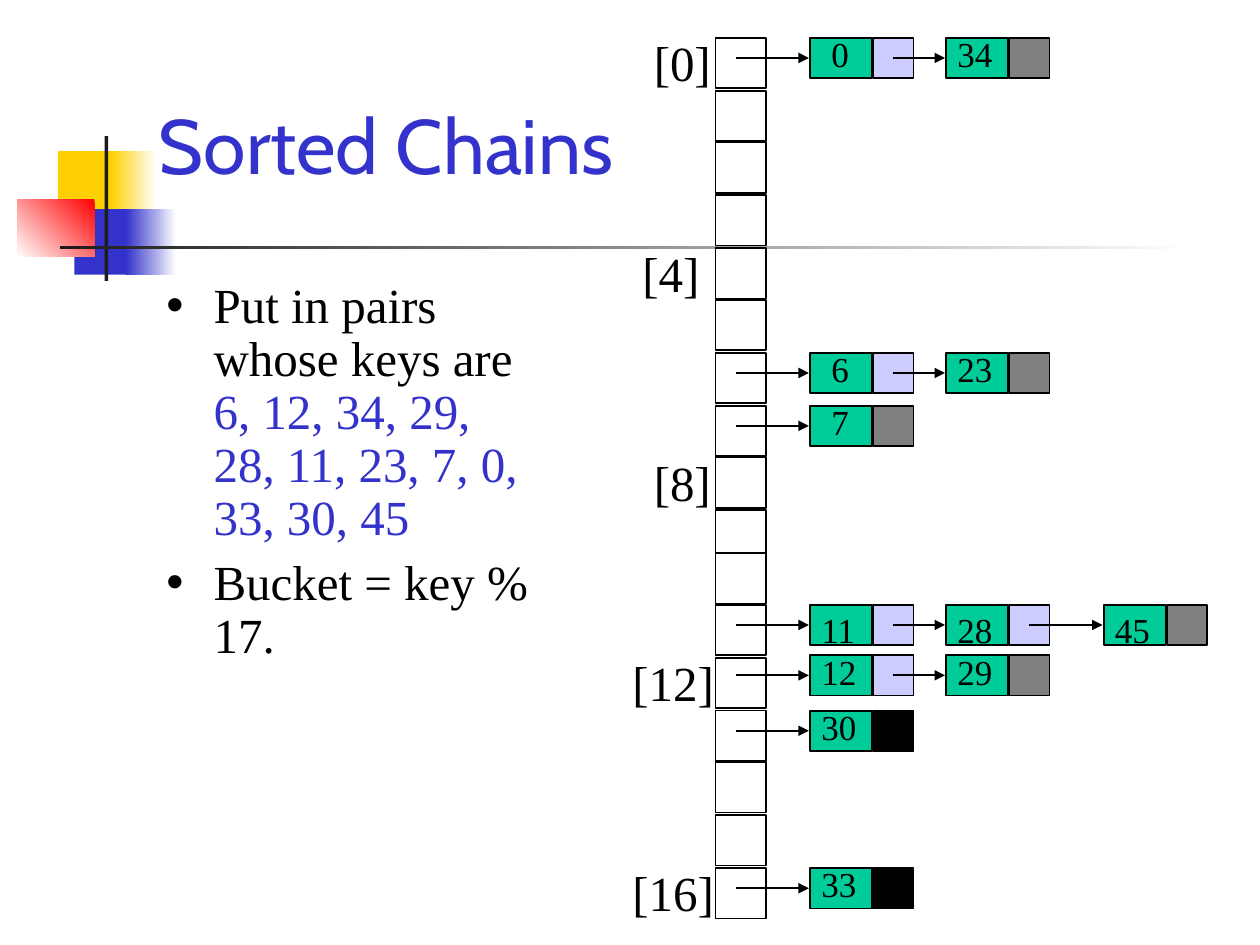
from lxml.etree import SubElement
from pptx import Presentation
from pptx.dml.color import RGBColor as Rgb
from pptx.enum.shapes import MSO_CONNECTOR as Connector, MSO_SHAPE as Preset
from pptx.enum.text import MSO_ANCHOR as Anchor, MSO_AUTO_SIZE as AutoSize, PP_ALIGN as Align
from pptx.oxml.ns import qn
from pptx.util import Pt

PX = 9144
COLORS = {
    "white": "FFFFFF", "black": "000000", "ink": "1C1C1C", "blue": "3333CC",
    "yellow": "FFCF01", "red": "FF0000", "key": "00CC99", "link": "CCCCFF", "end": "808080",
}
SERIF = "Times New Roman"
BUCKETS = 17
CHAINS = {0: [0, 34], 6: [6, 23], 7: [7], 11: [11, 28, 45], 12: [12, 29], 13: [30], 16: [33]}
NODE_LEFTS = [75, 183, 308]
LABEL_LEFTS = {0: 17, 4: 8, 8: 17, 12: 0, 16: 0}
BLACK_ENDS = {13, 16}
CHAIN_SHIFTS = {12: -2}
KEY_SHIFTS = {11: -2}


def px(*lengths):
    """Turn px lengths into EMU."""
    return [round(length * PX) for length in lengths]


def color(name):
    """Look up a named colour."""
    return Rgb.from_string(COLORS[name])


def apply(target, values):
    """Set attributes from a dict of format values."""
    for name, value in values.items():
        setattr(target, name, value)


def style_font(font, size, ink, face=SERIF):
    """Set size, colour and face of a font."""
    apply(font, {"size": Pt(size), "name": face})
    font.color.rgb = color(ink)


def add_rect(slide, box, fill, outlined=False, fade=None, angle=0):
    """Draw a rectangle with a plain fill, or fading from one colour to another."""
    rect = slide.shapes.add_shape(Preset.RECTANGLE, *px(*box))
    rect.shadow.inherit = False
    if fade:
        rect.fill.gradient()
        rect.fill.gradient_angle = angle
        for stop, name, position in zip(rect.fill.gradient_stops, (fill, fade), (0, 1)):
            stop.color.rgb = color(name)
            stop.position = position
    else:
        rect.fill.solid()
        rect.fill.fore_color.rgb = color(fill)
    if outlined:
        rect.line.color.rgb = color("black")
        rect.line.width = Pt(1)
    else:
        rect.line.fill.background()


def add_label(slide, box, text, size):
    """Write a short black text."""
    label = slide.shapes.add_textbox(*px(*box)).text_frame
    label.word_wrap = True
    run = label.paragraphs[0].add_run()
    run.text = text
    style_font(run.font, size, "black")


def add_arrow(slide, start, end, y):
    """Draw a level arrow pointing right."""
    arrow = slide.shapes.add_connector(Connector.STRAIGHT, *px(start, y, end, y))
    arrow.line.color.rgb = color("black")
    arrow.line.width = Pt(1)
    SubElement(arrow.line._get_or_add_ln(), qn("a:tailEnd"), type="triangle")
    SubElement(arrow._element.spPr, qn("a:effectLst"))


def add_ornament(slide, left, top):
    """Draw the coloured squares and the crossing bars."""
    parts = [
        ((32, 12, 48, 52), "yellow", None, 0),
        ((74, 12, 36, 52), "white", "yellow", 180),
        ((45, 58, 46, 52), "blue", None, 0),
        ((86, 58, 40, 52), "white", "blue", 180),
        ((0, 50, 61, 46), "red", "white", 225),
        ((69, 0, 3, 115), "ink", None, 0),
        ((34, 87, 900, 3), "white", "ink", 180),
    ]
    for (x, y, width, height), fill, fade, angle in parts:
        add_rect(slide, (left + x, top + y, width, height), fill, fade=fade, angle=angle)


def fill_title(title, box):
    """Place and write the title."""
    left, top, width, height = px(*box)
    apply(title, {"left": left, "top": top, "width": width, "height": height})
    frame = title.text_frame
    apply(frame, {"margin_left": 0, "margin_right": 0, "margin_top": 0, "margin_bottom": 0,
                  "vertical_anchor": Anchor.MIDDLE, "auto_size": AutoSize.NONE})
    heading = frame.paragraphs[0]
    apply(heading, {"alignment": Align.LEFT, "line_spacing": 1.02})
    run = heading.add_run()
    run.text = "Sorted Chains"
    style_font(run.font, 44, "blue", "Cabin")


def fill_body(body, box):
    """Place and write the bulleted list."""
    left, top, width, height = px(*box)
    apply(body, {"left": left, "top": top, "width": width, "height": height})
    frame = body.text_frame
    frame.auto_size = AutoSize.NONE
    points = [
        [("Put in pairs whose keys are ", "black"),
         ("6, 12, 34, 29, 28, 11, 23, 7, 0, 33, 30, 45", "blue")],
        [("Bucket = key % 17.", "black")],
    ]
    for index, pieces in enumerate(points):
        point = frame.add_paragraph() if index else frame.paragraphs[0]
        apply(point, {"line_spacing": 0.9, "space_before": Pt(7)})
        for words, ink in pieces:
            run = point.add_run()
            run.text = words
            style_font(run.font, 28, ink)


def bucket_top(bucket):
    """Give the top of a bucket, the lower seven being moved up a little."""
    return round(bucket * 125 / 3) - (8 if bucket > 9 else 0)


def add_chain(slide, left, top, bucket, keys):
    """Draw the linked nodes of one bucket, relative to the table."""
    middle = top + 16
    arrow_start = left + 16
    last = len(keys) - 1
    for index, (key, offset) in enumerate(zip(keys, NODE_LEFTS)):
        node = left + offset
        ending = "black" if bucket in BLACK_ENDS else "end"
        add_rect(slide, (node, top, 49, 32), "key", outlined=True)
        add_rect(slide, (node + 50, top, 32, 32), ending if index == last else "link",
                 outlined=True)
        add_arrow(slide, arrow_start, node - 1, middle)
        arrow_start = node + 66
        indent = 7 if key < 10 else -1
        add_label(slide, (node + indent, top + KEY_SHIFTS.get(bucket, -9), 50, 44), str(key), 20)


def add_hash_table(slide, left, top):
    """Draw the buckets, their index labels and their chains."""
    column = left + 76
    for bucket in range(BUCKETS):
        add_rect(slide, (column, top + bucket_top(bucket), 40, 40), "white", outlined=True)
    for bucket, indent in LABEL_LEFTS.items():
        add_label(slide, (left + indent, top + bucket_top(bucket) - 9, 108, 57),
                  f"[{bucket}]", 28)
    for bucket, keys in CHAINS.items():
        chain_top = top + bucket_top(bucket) + CHAIN_SHIFTS.get(bucket, 0)
        add_chain(slide, column, chain_top, bucket, keys)


def main():
    """Build and save the slide."""
    deck = Presentation()
    deck.slide_width, deck.slide_height = px(1000, 750)
    slide = deck.slides.add_slide(deck.slide_layouts[1])
    add_ornament(slide, 14, 108)
    fill_title(slide.shapes.title, (126, 76, 852, 75))
    fill_body(slide.placeholders[1], (122, 218, 317, 517))
    add_hash_table(slide, 492, 30)
    deck.save("out.pptx")


if __name__ == "__main__":
    main()
